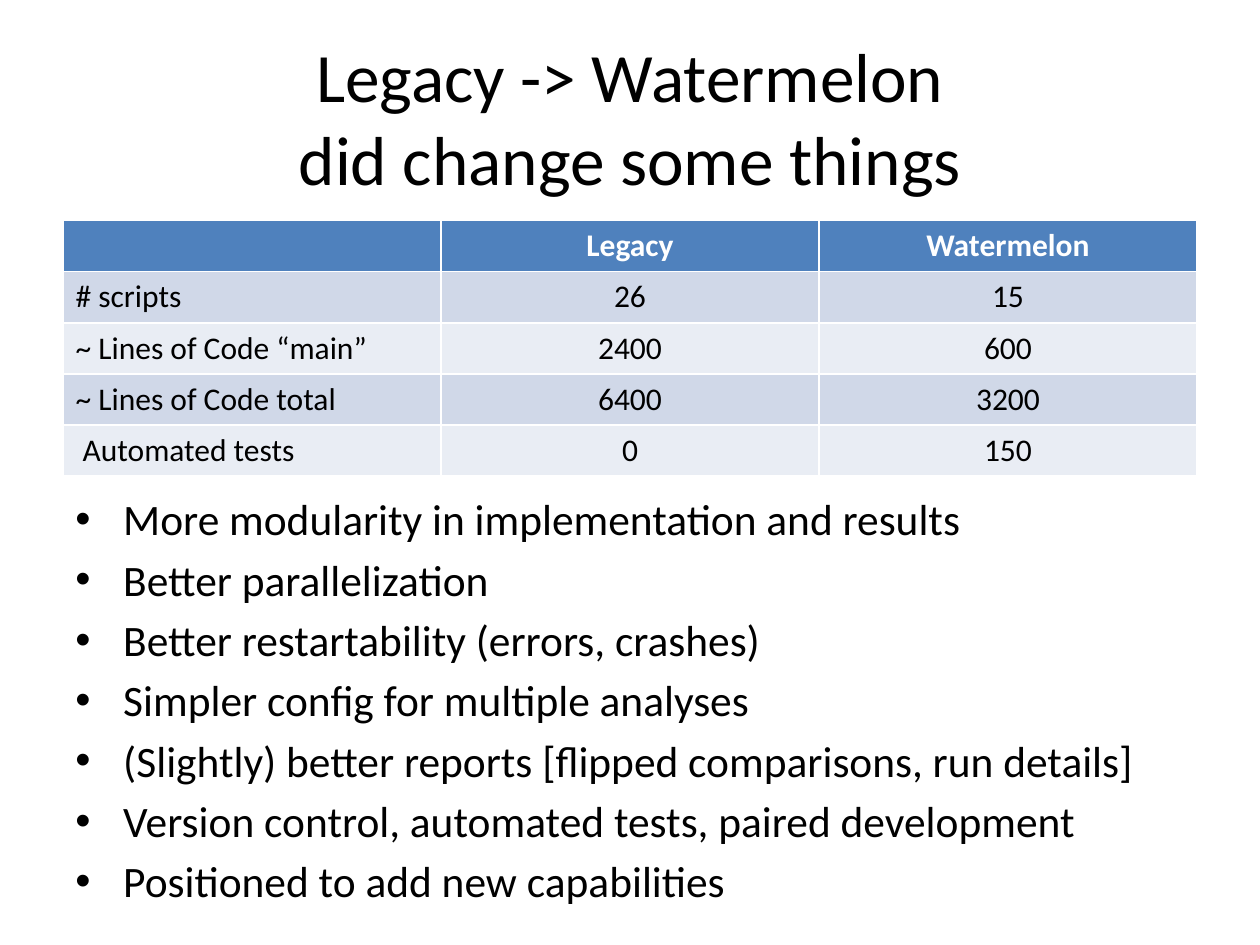
from lxml.etree import SubElement as Sub
from pptx import Presentation
from pptx.dml.color import RGBColor as RGB
from pptx.enum.text import MSO_ANCHOR as Anchor, PP_ALIGN as Align
from pptx.oxml.ns import qn
from pptx.util import Inches, Pt

BLACK = RGB(0x00, 0x00, 0x00)
WHITE = RGB(0xFF, 0xFF, 0xFF)
BLUE = RGB(0x4F, 0x81, 0xBD)
BANDS = RGB(0xE9, 0xED, 0xF4), RGB(0xD0, 0xD8, 0xE8)

ROWS = [
    ("", "Legacy", "Watermelon"),
    ("# scripts", "26", "15"),
    ("~ Lines of Code “main”", "2400", "600"),
    ("~ Lines of Code total", "6400", "3200"),
    (" Automated tests", "0", "150"),
]
GAINS = [
    "More modularity in implementation and results",
    "Better parallelization",
    "Better restartability (errors, crashes)",
    "Simpler config for multiple analyses",
    "(Slightly) better reports [flipped comparisons, run details]",
    "Version control, automated tests, paired development",
    "Positioned to add new capabilities",
]


class Deck:
    """Holds the text style and the current slide, placed on a 20 by 150 grid."""

    font = "Calibri"
    cols, rows = 20, 150

    def __init__(self, wide, high):
        self.file = Presentation()
        self.file.slide_width = Inches(wide)
        self.file.slide_height = Inches(high)
        self.slide = self.file.slides.add_slide(self.file.slide_layouts[5])

    def box(self, col, row, wide, high):
        across = self.file.slide_width / self.cols
        down = self.file.slide_height / self.rows
        return [int(n) for n in (col * across, row * down, wide * across, high * down)]

    def style(self, para, size, color=BLACK, bold=False, align=Align.LEFT):
        para.alignment = align
        for run in para.runs:
            font = run.font
            font.name, font.size, font.bold = self.font, Pt(size), bold
            font.color.rgb = color

    def title(self, text, area, size):
        shape = self.slide.shapes.title
        shape.left, shape.top, shape.width, shape.height = self.box(*area)
        frame = shape.text_frame
        frame.text = text
        frame.vertical_anchor = Anchor.MIDDLE
        self.style(frame.paragraphs[0], size, align=Align.CENTER)

    def table(self, data, area, size):
        grid = self.slide.shapes.add_table(len(data), len(data[0]), *self.box(*area)).table
        for i, line in enumerate(data):
            for j, text in enumerate(line):
                cell = grid.cell(i, j)
                cell.text = text
                cell.fill.solid()
                cell.fill.fore_color.rgb = BANDS[i % 2] if i else BLUE
                align = Align.CENTER if j else Align.LEFT
                para = cell.text_frame.paragraphs[0]
                self.style(para, size, BLACK if i else WHITE, not i, align)

    def bullets(self, items, area, size):
        frame = self.slide.shapes.add_textbox(*self.box(*area)).text_frame
        frame.word_wrap = True
        frame.text = "\n".join(items)
        for para in frame.paragraphs:
            self.style(para, size)
            para.space_before = Pt(size * 0.19)
            props = para._p.get_or_add_pPr()
            props.set("marL", str(Inches(0.38)))
            props.set("indent", str(-Inches(0.38)))
            Sub(props, qn("a:buFont"), typeface="Arial")
            Sub(props, qn("a:buChar"), char="•")


def main():
    deck = Deck(10, 7.5)
    deck.title("Legacy -> Watermelon\vdid change some things", (1, 6, 18, 25), 39.6)
    deck.table(ROWS, (1, 35, 18, 40.6), 18)
    deck.bullets(GAINS, (1, 77.2, 18, 61), 24.8)
    deck.file.save("out.pptx")


if __name__ == "__main__":
    main()
